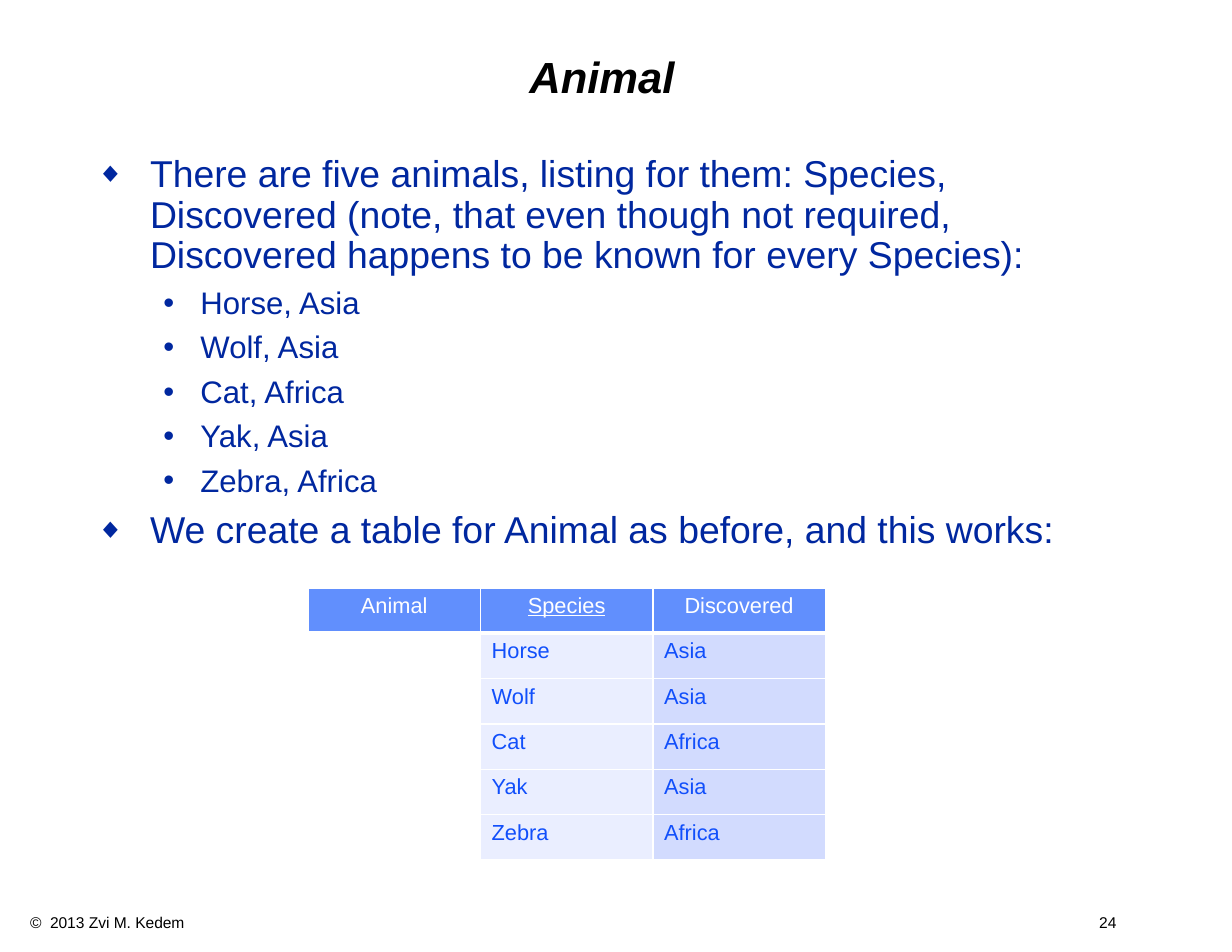
from lxml import etree
from pptx import Presentation
from pptx.dml.color import RGBColor
from pptx.enum.text import MSO_ANCHOR, PP_ALIGN
from pptx.oxml import parse_xml
from pptx.oxml.ns import nsdecls, qn
from pptx.util import Inches, Pt

LEFT, CENTER = PP_ALIGN.LEFT, PP_ALIGN.CENTER
MIDDLE = MSO_ANCHOR.MIDDLE
NAVY, WHITE, BLACK = "00279F", "FFFFFF", "000000"


def write(para, text, size, color, bold=False, italic=False, under=False,
          align=LEFT, line=None, before=0, bullet=None, scale=100,
          indent=(0, 0), tab=None):
    """Fill one paragraph; indent is (left margin, first line) in inches."""
    props = para._p.get_or_add_pPr()
    if bullet:
        props.set("marL", str(Inches(indent[0])))
        props.set("indent", str(Inches(indent[1])))
        tint = etree.SubElement(props, qn("a:buClr"))
        etree.SubElement(tint, qn("a:srgbClr"), val=color)
        etree.SubElement(props, qn("a:buSzPct"), val=str(scale * 1000))
        etree.SubElement(props, qn("a:buFont"), typeface="Arial")
        etree.SubElement(props, qn("a:buChar"), char=bullet)
    if tab:
        tabs = etree.SubElement(props, qn("a:tabLst"))
        etree.SubElement(tabs, qn("a:tab"), pos=str(Inches(tab)), algn="r")
    para.alignment = align
    if line:
        para.line_spacing = line
    para.space_before = Pt(before)
    run = para.add_run()
    run.text = text
    font = run.font
    font.name, font.size = "Arial", Pt(size)
    font.bold, font.italic, font.underline = bold, italic, under
    font.color.rgb = RGBColor.from_string(color)


def place(shape, left, top, width, height, pad=(0.11, 0.06)):
    """Set position, insets and wrapping; return the text frame."""
    shape.left, shape.top = Inches(left), Inches(top)
    shape.width, shape.height = Inches(width), Inches(height)
    frame = shape.text_frame
    frame.word_wrap = True
    frame.margin_left = frame.margin_right = Inches(pad[0])
    frame.margin_top = frame.margin_bottom = Inches(pad[1])
    return frame


prs = Presentation()
prs.slide_width, prs.slide_height = Inches(11), Inches(8.5)
slide = prs.slides.add_slide(prs.slide_layouts[5])
shapes = slide.shapes

# Title
title = place(shapes.title, 0.75, 0.25, 9.25, 0.92)
title.vertical_anchor = MIDDLE
write(title.paragraphs[0], "Animal", 28, BLACK, bold=True, italic=True,
      align=CENTER, line=0.9)

# Bullets
animals = [("Horse", "Asia"), ("Wolf", "Asia"), ("Cat", "Africa"),
           ("Yak", "Asia"), ("Zebra", "Africa")]
points = [(0, "There are five animals, listing for them: Species, Discovered "
              "(note, that even though not required, Discovered happens to be "
              "known for every Species):")]
points += [(1, ", ".join(pair)) for pair in animals]
points += [(0, "We create a table for Animal as before, and this works:")]
styles = [
    dict(size=24, bullet="◆", scale=75, indent=(0.48, -0.48)),
    dict(size=20, bullet="•", indent=(0.93, -0.33)),
]
body = place(shapes.add_textbox(0, 0, 0, 0), 0.75, 1.33, 9.33, 3.7)
for i, (level, text) in enumerate(points):
    para = body.add_paragraph() if i else body.paragraphs[0]
    para.level = level
    gap = (8, 7)[level] if i else 0
    write(para, text, color=NAVY, line=0.9, before=gap, **styles[level])

# Table: the first column holds only the table's name
rows = [("Animal", "Species", "Discovered")]
rows += [("", *pair) for pair in animals]
fills = [WHITE, "EAEEFF", "D2DBFE"]
table = shapes.add_table(len(rows), 3, Inches(2.75), Inches(5.25),
                         Inches(4.62), Inches(2.43)).table
for col in table.columns:
    col.width = Inches(1.54)
for r, row in enumerate(rows):
    table.rows[r].height = Inches(2.43 / len(rows))
    head = r == 0
    for c, text in enumerate(row):
        cell = table.cell(r, c)
        props = cell._tc.get_or_add_tcPr()
        for side in "LRTB":
            width = Pt(3 if head and side == "B" else 1)
            props.append(parse_xml(
                f'<a:ln{side} {nsdecls("a")} w="{width}"><a:solidFill>'
                f'<a:srgbClr val="{WHITE}"/></a:solidFill></a:ln{side}>'))
        cell.fill.solid()
        cell.fill.fore_color.rgb = RGBColor.from_string(
            "618FFD" if head else fills[c])
        if text:
            write(cell.text_frame.paragraphs[0], text, 14,
                  WHITE if head else "114FFB", under=text == "Species",
                  align=CENTER if head else LEFT)

# Footer
foot = place(shapes.add_textbox(0, 0, 0, 0), 0.17, 8.1, 10.34, 0.27,
             pad=(0.1, 0.05))
write(foot.paragraphs[0], "©  2013 Zvi M. Kedem\t24", 10, BLACK, tab=9.7)

prs.save("out.pptx")
